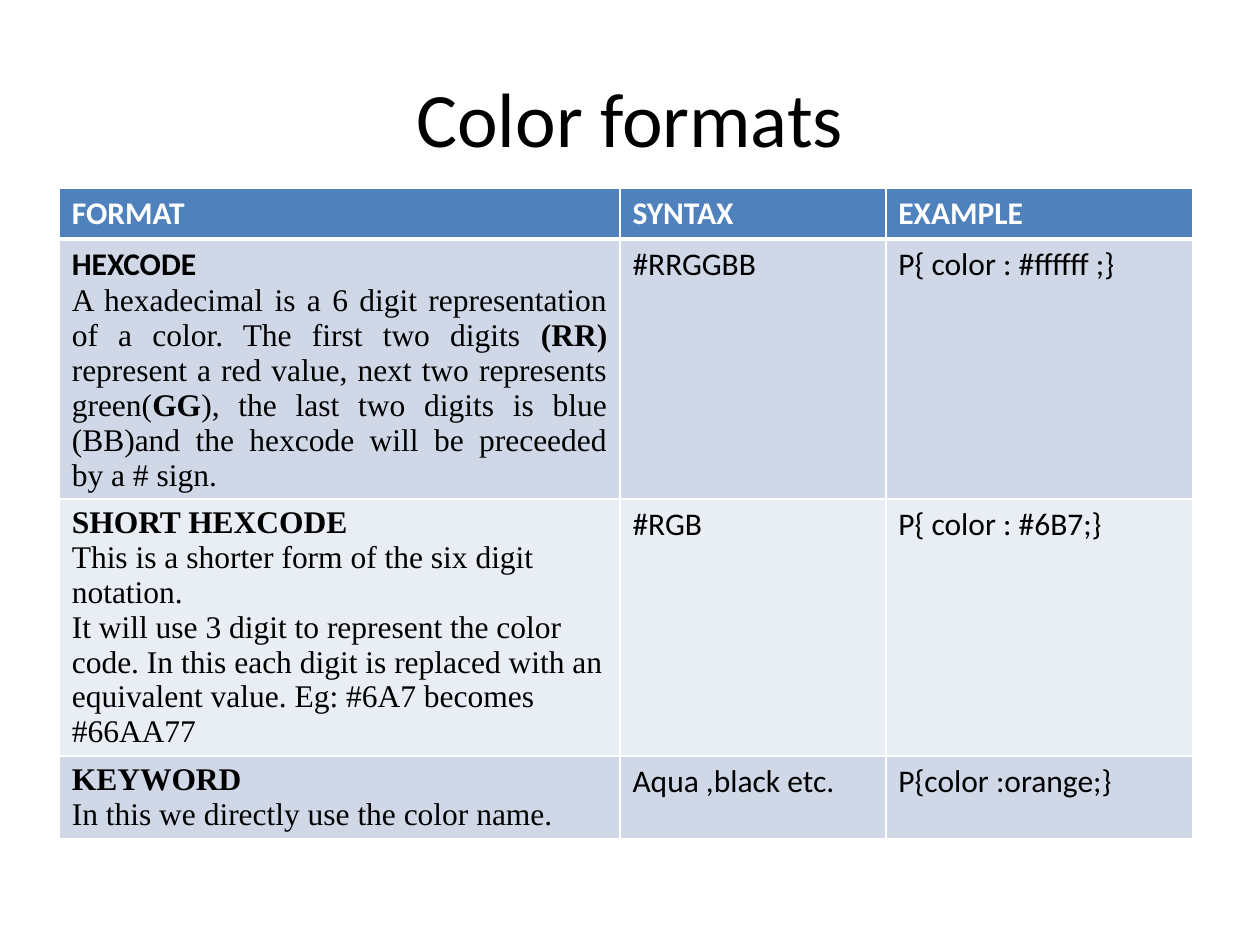
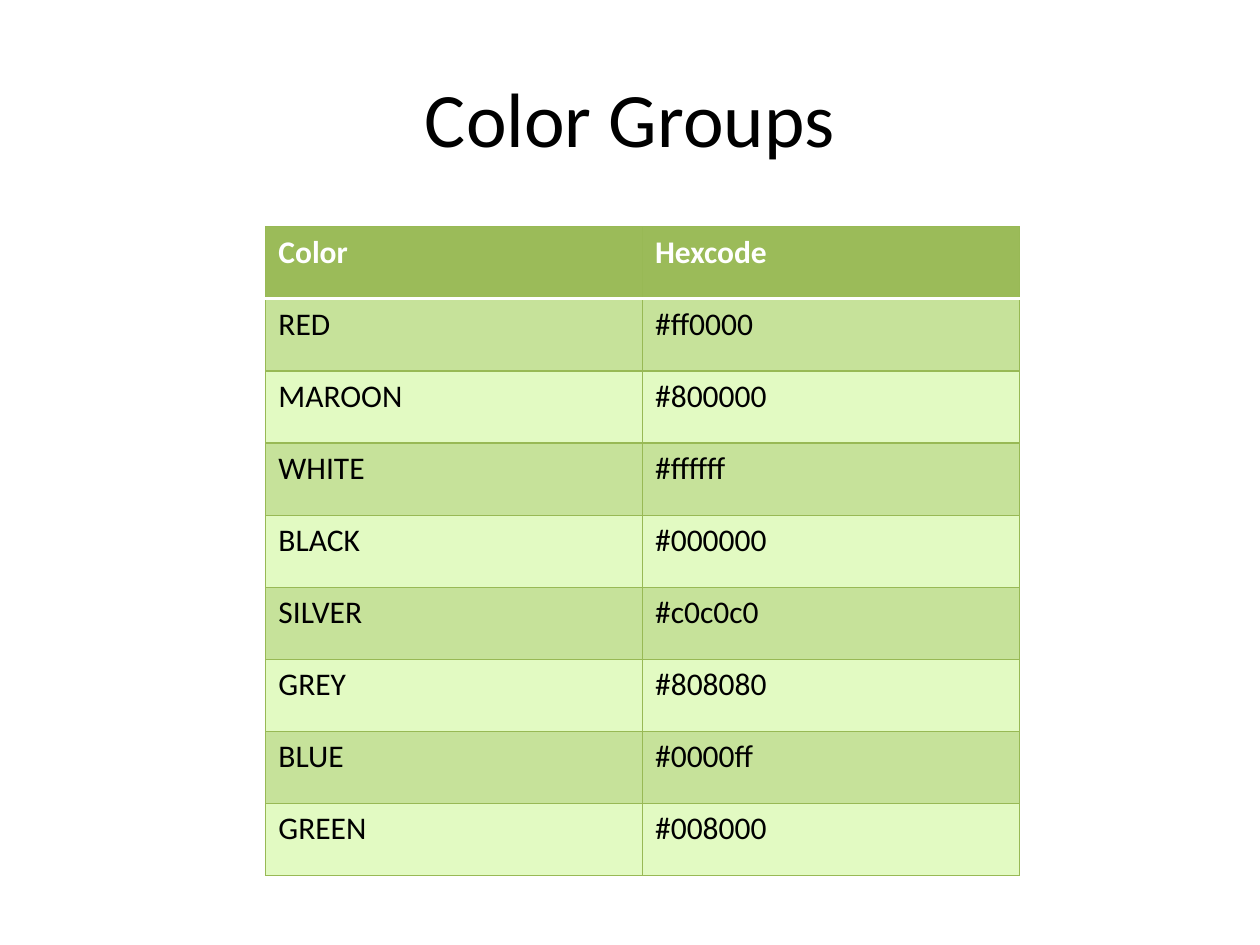
from lxml import etree
from pptx import Presentation
from pptx import util as u
from pptx.dml.color import RGBColor
from pptx.enum import text
from pptx.oxml import ns

COLORS = {
    "black": "000000", "white": "FFFFFF",
    "blue": "4F81BD", "blue_dark_band": "D0D8E8", "blue_light_band": "E9EDF4",
    "green": "9BBB59", "green_dark_band": "C6E29A", "green_light_band": "E2FAC2",
    "green_line": "98B955",
}
SANS, SERIF = "Calibri", "Times New Roman"


def add_run(paragraph, wording, size, color, font=SANS, bold=False):
    run = paragraph.add_run()
    run.text = wording
    run.font.size = u.Pt(size)
    run.font.name = font
    run.font.bold = bold
    run.font.color.rgb = RGBColor.from_string(COLORS[color])


def set_border(cell, position, side, color, width):
    line = etree.Element(ns.qn(f"a:ln{side}"), w=str(u.Pt(width)))
    fill = etree.SubElement(line, ns.qn("a:solidFill"))
    etree.SubElement(fill, ns.qn("a:srgbClr"), val=COLORS[color])
    cell._tc.get_or_add_tcPr().insert(position, line)


hexcode = [
    [("HEXCODE", SANS, True)],
    [("A hexadecimal is a 6 digit representation of a color. The first two digits ", SERIF, False),
     ("(RR) ", SERIF, True),
     ("represent a red value, next two represents green(", SERIF, False),
     ("GG", SERIF, True),
     ("), the last two digits is blue (BB)and the hexcode will be preceeded by a # sign.", SERIF, False)],
]
short_hexcode = [
    [("SHORT HEXCODE", SERIF, True)],
    [("This is a shorter form of the six digit notation.", SERIF, False)],
    [("It will use 3 digit to represent the color code. In this each digit is replaced "
      "with an equivalent value. Eg: #6A7 becomes #66AA77", SERIF, False)],
]
keyword = [
    [("KEYWORD", SERIF, True)],
    [("In this we directly use the color name.", SERIF, False)],
]

color_groups = [
    ("RED", "#ff0000"), ("MAROON", "#800000"), ("WHITE", "#ffffff"), ("BLACK", "#000000"),
    ("SILVER", "#c0c0c0"), ("GREY", "#808080"), ("BLUE", "#0000ff"), ("GREEN", "#008000"),
]

pages = [
    {
        "title": "Color formats", "left": 0.47, "top": 1.49,
        "columns": [4.45, 2.11, 2.44], "heights": [0.4, 2.06, 2.04, 0.65],
        "theme": "blue", "line": "white", "line_width": 1, "header_width": 3,
        "rows": [
            ("FORMAT", "SYNTAX", "EXAMPLE"),
            (hexcode, "#RRGGBB", "P{ color : #ffffff ;}"),
            (short_hexcode, "#RGB", "P{ color : #6B7;}"),
            (keyword, "Aqua ,black etc.", "P{color :orange;}"),
        ],
    },
    {
        "title": "Color Groups", "left": 2.11, "top": 1.8,
        "columns": [2.99] * 2, "heights": [5.15 / 9] * 9,
        "theme": "green", "line": "green_line", "line_width": 0.75, "header_width": 2,
        "rows": [("Color", "Hexcode")] + color_groups,
    },
]

presentation = Presentation()
presentation.slide_width = u.Inches(10)
presentation.slide_height = u.Inches(7.5)

for page in pages:
    slide = presentation.slides.add_slide(presentation.slide_layouts[5])
    title = slide.shapes.title
    title.left, title.top = u.Inches(0.5), u.Inches(0.3)
    title.width, title.height = u.Inches(9), u.Inches(1.25)
    title.text_frame.vertical_anchor = text.MSO_ANCHOR.MIDDLE
    title_paragraph = title.text_frame.paragraphs[0]
    title_paragraph.alignment = text.PP_ALIGN.CENTER
    add_run(title_paragraph, page["title"], 44, "black")

    columns, heights, theme = page["columns"], page["heights"], page["theme"]
    table = slide.shapes.add_table(
        len(heights), len(columns), u.Inches(page["left"]), u.Inches(page["top"]),
        u.Inches(sum(columns)), u.Inches(sum(heights))).table
    for column, width in zip(table.columns, columns):
        column.width = u.Inches(width)
    for row, height in zip(table.rows, heights):
        row.height = u.Inches(height)

    for row_index, row in enumerate(page["rows"]):
        is_header = row_index == 0
        band = "dark" if row_index % 2 else "light"
        fill = theme if is_header else f"{theme}_{band}_band"
        for column_index, content in enumerate(row):
            cell = table.cell(row_index, column_index)
            cell.fill.solid()
            cell.fill.fore_color.rgb = RGBColor.from_string(COLORS[fill])
            for position, side in enumerate("LRTB"):
                under_header = (row_index, side) in [(0, "B"), (1, "T")]
                set_border(cell, position, side,
                           "white" if under_header else page["line"],
                           page["header_width"] if under_header else page["line_width"])
            if isinstance(content, str):
                content = [[(content, SANS, is_header)]]
            for paragraph_index, runs in enumerate(content):
                frame = cell.text_frame
                paragraph = frame.add_paragraph() if paragraph_index else frame.paragraphs[0]
                if len(runs) > 1:
                    paragraph.alignment = text.PP_ALIGN.JUSTIFY
                for wording, font, bold in runs:
                    add_run(paragraph, wording, 18, "white" if is_header else "black", font, bold)

presentation.save("out.pptx")
